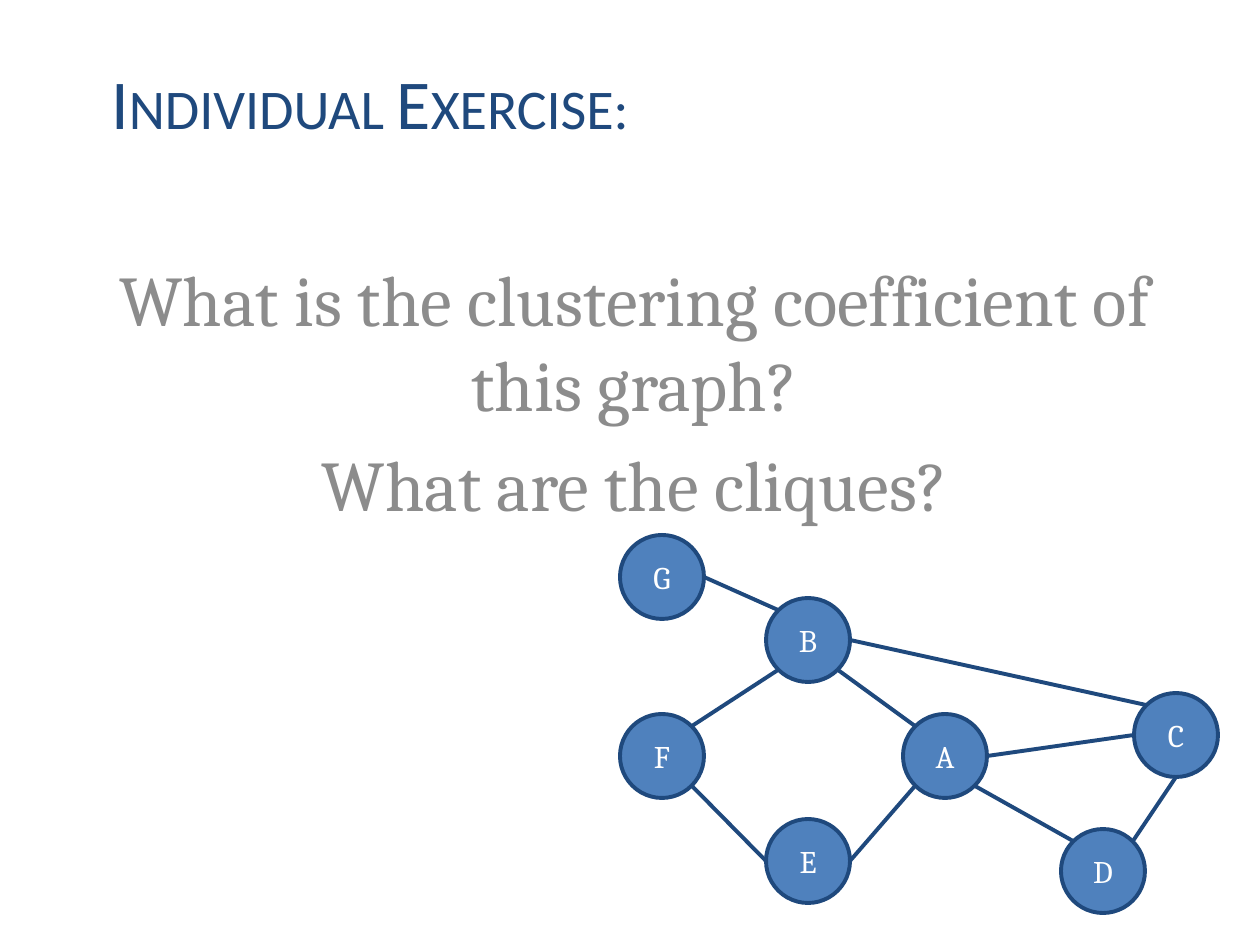
from dataclasses import dataclass
from math import sqrt

from lxml import etree
from pptx import Presentation
from pptx.dml.color import RGBColor
from pptx.enum.shapes import MSO_CONNECTOR, MSO_SHAPE
from pptx.enum.text import MSO_ANCHOR, PP_ALIGN
from pptx.oxml.ns import qn
from pptx.util import Pt

EMU_PER_PX = 914400 / 126
STRAIGHT = MSO_CONNECTOR.STRAIGHT
ELLIPSE = MSO_SHAPE.OVAL
LEFT, CENTER = PP_ALIGN.LEFT, PP_ALIGN.CENTER
TOP, MIDDLE, BOTTOM = MSO_ANCHOR.TOP, MSO_ANCHOR.MIDDLE, MSO_ANCHOR.BOTTOM


@dataclass(frozen=True)
class Theme:
    navy: RGBColor = RGBColor(0x1F, 0x49, 0x7D)
    blue: RGBColor = RGBColor(0x4F, 0x81, 0xBD)
    gray: RGBColor = RGBColor(0x8C, 0x8C, 0x8C)
    white: RGBColor = RGBColor(0xFF, 0xFF, 0xFF)
    heading_font: str = "Calibri"
    body_font: str = "Cambria"
    title_size: float = 40
    body_size: float = 40.7
    node_size: float = 18
    line_width: float = 2.25


NODE_DIAMETER = 84
NODES = {  # left, top
    "C": (1134, 693),
    "D": (1061, 829),
    "G": (620, 535),
    "A": (903, 714),
    "B": (766, 598),
    "E": (766, 819),
    "F": (620, 714),
}
DIAGONAL = sqrt(0.5)
SITES = {  # unit direction from the node centre
    "top left": (-DIAGONAL, -DIAGONAL),
    "top right": (DIAGONAL, -DIAGONAL),
    "bottom left": (-DIAGONAL, DIAGONAL),
    "bottom right": (DIAGONAL, DIAGONAL),
    "left": (-1, 0),
    "right": (1, 0),
    "bottom": (0, 1),
}
EDGES = [
    ("C", "left", "A", "right"),
    ("C", "bottom", "D", "top right"),
    ("A", "bottom right", "D", "top left"),
    ("G", "right", "B", "top left"),
    ("F", "top right", "B", "bottom left"),
    ("A", "top left", "B", "bottom right"),
    ("A", "bottom left", "E", "right"),
    ("F", "bottom right", "E", "left"),
    ("B", "right", "C", "top left"),
]


def px(length):
    return round(length * EMU_PER_PX)


def site_point(node, site):
    """Return the px position of a connection site on a node's rim."""
    radius = NODE_DIAMETER / 2
    return [round(start + radius + radius * step)
            for start, step in zip(NODES[node], SITES[site])]


class SlideBuilder:
    def __init__(self, page, theme):
        self.page = page
        self.theme = theme

    def set_text(self, frame, lines, font, size, color, align, anchor):
        frame.word_wrap = True
        frame.vertical_anchor = anchor
        for index, line in enumerate(lines):
            para = frame.paragraphs[0] if index == 0 else frame.add_paragraph()
            para.text = line
            para.alignment = align
            para.font.name = font
            para.font.size = Pt(size)
            para.font.color.rgb = color

    def text_box(self, left, top, width, height):
        box = self.page.shapes.add_textbox(*map(px, (left, top, width, height)))
        return box.text_frame

    def title(self, text, *bounds):
        frame = self.text_box(*bounds)
        self.set_text(frame, [text], self.theme.heading_font,
                      self.theme.title_size, self.theme.navy, LEFT, TOP)
        span = frame.paragraphs[0].runs[0]
        span._r.get_or_add_rPr().set("cap", "small")

    def questions(self, lines, *bounds):
        frame = self.text_box(*bounds)
        self.set_text(frame, lines, self.theme.body_font,
                      self.theme.body_size, self.theme.gray, CENTER, BOTTOM)
        for para in frame.paragraphs:
            para.space_before = Pt(self.theme.body_size * 0.2)

    def outline(self, shape):
        shape.line.color.rgb = self.theme.navy
        shape.line.width = Pt(self.theme.line_width)

    def node(self, label, left, top):
        circle = self.page.shapes.add_shape(
            ELLIPSE, px(left), px(top), px(NODE_DIAMETER), px(NODE_DIAMETER))
        circle.shadow.inherit = False
        circle.fill.solid()
        circle.fill.fore_color.rgb = self.theme.blue
        self.outline(circle)
        self.set_text(circle.text_frame, [label], self.theme.body_font,
                      self.theme.node_size, self.theme.white, CENTER, MIDDLE)

    def edge(self, start, end):
        line = self.page.shapes.add_connector(STRAIGHT, *map(px, (*start, *end)))
        self.outline(line)
        etree.SubElement(line._element.spPr, qn("a:effectLst"))


def main():
    deck = Presentation()
    deck.slide_width, deck.slide_height = px(1260), px(945)
    blank_layout = deck.slide_layouts[6]
    builder = SlideBuilder(deck.slides.add_slide(blank_layout), Theme())

    builder.title("Individual Exercise:", 99, 53, 1071, 188)
    builder.questions(["What is the clustering coefficient of this graph?",
                       "What are the cliques?"], 99, 252, 1071, 280)
    for start, start_site, end, end_site in EDGES:
        builder.edge(site_point(start, start_site), site_point(end, end_site))
    for label, (left, top) in NODES.items():
        builder.node(label, left, top)

    deck.save("out.pptx")


if __name__ == "__main__":
    main()
